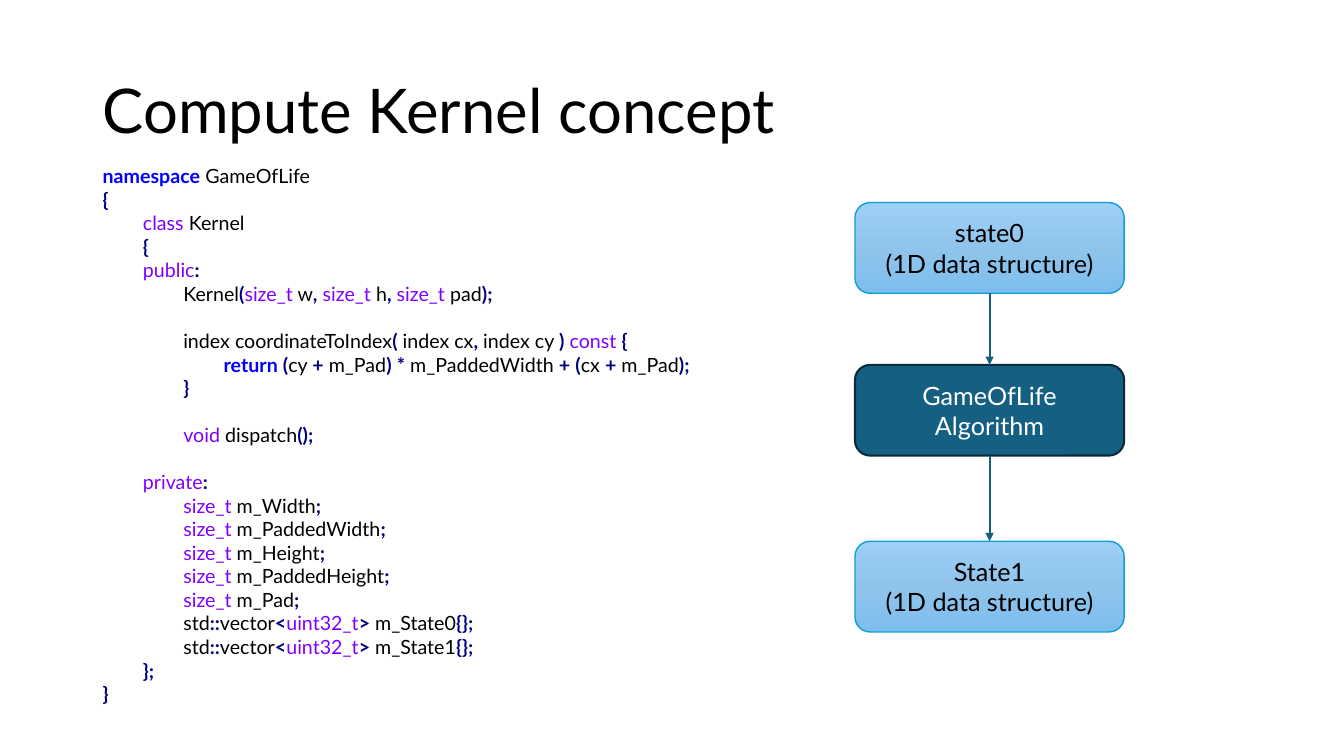
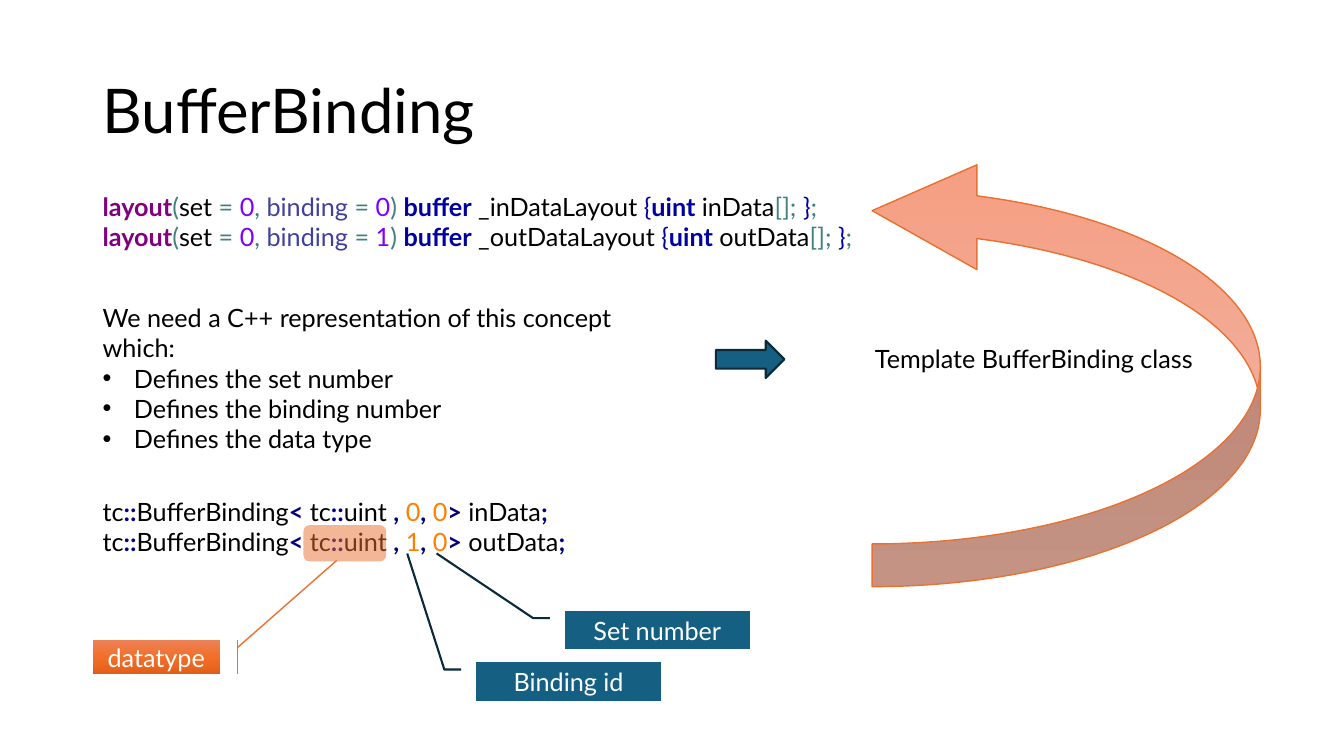
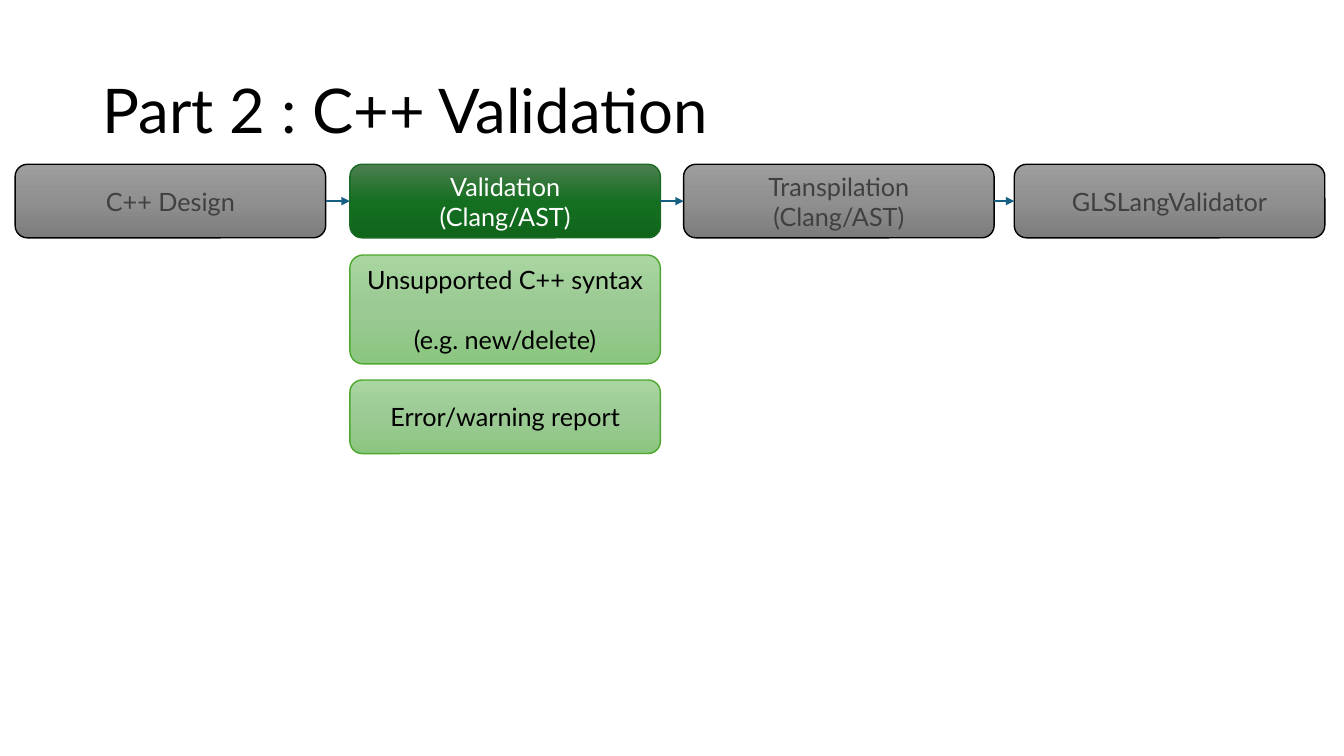
from copy import deepcopy
from dataclasses import dataclass
from itertools import groupby, pairwise

from lxml import etree
from pptx import Presentation
from pptx.dml.color import RGBColor
from pptx.enum.shapes import MSO_CONNECTOR, MSO_SHAPE
from pptx.enum.text import MSO_ANCHOR, PP_ALIGN
from pptx.oxml.ns import qn
from pptx.util import Inches, Pt

ROUNDED = MSO_SHAPE.ROUNDED_RECTANGLE
RIGHT_ARROW = MSO_SHAPE.RIGHT_ARROW
CURVED_ARROW = MSO_SHAPE.CURVED_LEFT_ARROW
ACCENT_CALLOUT = MSO_SHAPE.LINE_CALLOUT_1_ACCENT_BAR
BENT_CALLOUT = MSO_SHAPE.LINE_CALLOUT_2_NO_BORDER
STRAIGHT = MSO_CONNECTOR.STRAIGHT
MIDDLE, TOP_ANCHOR = MSO_ANCHOR.MIDDLE, MSO_ANCHOR.TOP
CENTER, LEFT_ALIGN = PP_ALIGN.CENTER, PP_ALIGN.LEFT
TOP, LEFT, BOTTOM, RIGHT = range(4)


@dataclass(frozen=True)
class Look:
    """Fill (one colour, or gradient colours from top to bottom), line and text."""
    fill: tuple
    line: str | None
    width: float = 1
    text: str = "000000"


@dataclass(frozen=True)
class Theme:
    font: str = "Lato"
    title_size: int = 44
    body_size: int = 18
    code_size: int = 14
    line_height: float = 1.2
    tab: float = 0.4
    bullet_indent: float = 0.31
    black: str = "000000"
    accent: str = "156082"
    teal: Look = Look(("156082",), "092A39", 1.5, "FFFFFF")
    blue: Look = Look(("9ECFF5", "90C4EB", "7CBEED"), "0F9ED5")
    orange: Look = Look(("ED8257", "F26E29", "E25F1A"), "E97132", 1, "FFFFFF")
    peach: Look = Look(("F5B8A5", "F2AB96", "F59E82"), "E97132")
    marker: Look = Look(("E97132",), None)
    gray: Look = Look(("9D9D9D", "909090", "7C7C7C"), "000000", 1, "404040")
    green: Look = Look(("4D7E50", "156F21", "0F661B"), "196B24", 1, "FFFFFF")
    light_green: Look = Look(("A8D5A0", "9CCA94", "8AC680"), "4EA72E")


THEME = Theme()

# Token -> (colour, bold)
PLAIN = (THEME.black, False)
CPP = {
    **dict.fromkeys("{}()[]<>,;:+*", ("000080", True)),
    **dict.fromkeys(("namespace", "return"), ("0000FF", True)),
    **dict.fromkeys(("class", "public", "private", "const", "void", "size_t", "uint32_t"),
                    ("8000FF", False)),
    **dict.fromkeys("01", ("FF8000", False)),
}
GLSL = {
    **dict.fromkeys("()[],;=", ("408080", False)),
    **dict.fromkeys("{}", ("0000A0", False)),
    **dict.fromkeys(("buffer", "uint"), ("0000A0", True)),
    **dict.fromkeys("01", ("8000FF", False)),
    "layout": ("800080", True),
    "binding": ("4040A0", False),
}

KERNEL_CODE = """\
namespace GameOfLife
{
	class Kernel
	{
	public:
		Kernel(size_t w, size_t h, size_t pad);

		index coordinateToIndex( index cx, index cy ) const {
			return (cy + m_Pad) * m_PaddedWidth + (cx + m_Pad);
		}

		void dispatch();

	private:
		size_t m_Width;
		size_t m_PaddedWidth;
		size_t m_Height;
		size_t m_PaddedHeight;
		size_t m_Pad;
		std::vector<uint32_t> m_State0{};
		std::vector<uint32_t> m_State1{};
	};
}"""
LAYOUT_CODE = """\
layout(set = 0, binding = 0) buffer _inDataLayout {uint inData[]; };
layout(set = 0, binding = 1) buffer _outDataLayout {uint outData[]; };"""
BINDING_CODE = """\
tc::BufferBinding< tc::uint , 0, 0> inData;
tc::BufferBinding< tc::uint , 1, 0> outData;"""


def styled_pieces(line, syntax):
    """Yield (style, text) for each stretch of a code line in one style."""
    tokens = []
    for is_word, chars in groupby(line, lambda c: c.isalnum() or c == "_"):
        tokens += ["".join(chars)] if is_word else chars
    for style, group in groupby(tokens, lambda t: syntax.get(t, PLAIN)):
        yield style, "".join(group)


class Deck:
    def __init__(self, theme):
        self.theme = theme
        self.prs = Presentation()
        self.prs.slide_width, self.prs.slide_height = Inches(13.33), Inches(7.5)
        self.s = None

    def slide(self, title):
        self.s = self.prs.slides.add_slide(self.prs.slide_layouts[6])
        tf = self.text_frame(0.92, 0.4, 11.5, 1.45)
        self.set_lines(tf, [title], size=self.theme.title_size, anchor=MIDDLE)
        tf.paragraphs[0].line_spacing = 0.9

    def text_frame(self, x, y, w, h):
        tf = self.s.shapes.add_textbox(Inches(x), Inches(y), Inches(w), Inches(h)).text_frame
        tf.word_wrap = True
        return tf

    def style_run(self, r, size, color, bold=False):
        r.font.name, r.font.size, r.font.bold = self.theme.font, Pt(size), bold
        r.font.color.rgb = RGBColor.from_string(color)

    def paragraphs(self, tf, lines, size):
        """Yield a paragraph for each line; an empty line becomes space before the next."""
        p, gap = None, 0
        for line in lines:
            if not line:
                gap += size * self.theme.line_height
                continue
            p = tf.add_paragraph() if p else tf.paragraphs[0]
            p.space_before, gap = Pt(gap), 0
            yield p, line

    def set_lines(self, tf, lines, size=None, color=None, align=LEFT_ALIGN, anchor=TOP_ANCHOR):
        size = size or self.theme.body_size
        tf.vertical_anchor = anchor
        for p, line in self.paragraphs(tf, lines, size):
            p.text, p.alignment = line, align
            for r in p.runs:
                self.style_run(r, size, color or self.theme.black)

    def text(self, x, y, w, h, lines, bullets_from=None):
        tf = self.text_frame(x, y, w, h)
        self.set_lines(tf, lines)
        indent = Inches(self.theme.bullet_indent)
        for p in tf.paragraphs[len(lines) if bullets_from is None else bullets_from:]:
            pPr = p._p.get_or_add_pPr()
            pPr.set("marL", str(indent))
            pPr.set("indent", str(-indent))
            etree.SubElement(pPr, qn("a:buFont")).set("typeface", "Arial")
            etree.SubElement(pPr, qn("a:buChar")).set("char", "•")

    def code(self, x, y, w, h, source, syntax, size):
        tf = self.text_frame(x, y, w, h)
        for p, line in self.paragraphs(tf, source.split("\n"), size):
            body = line.lstrip("\t")
            margin = Inches(self.theme.tab * (len(line) - len(body)))
            p._p.get_or_add_pPr().set("marL", str(margin))
            for (color, bold), piece in styled_pieces(body, syntax):
                r = p.add_run()
                r.text = piece
                self.style_run(r, size, color, bold)

    def paint(self, shape, look):
        fill = shape.fill
        if len(look.fill) == 1:
            fill.solid()
            fill.fore_color.rgb = RGBColor.from_string(look.fill[0])
        else:
            fill.gradient()
            fill.gradient_angle = 270
            stops = shape.element.spPr.find(".//" + qn("a:gsLst"))
            stops.insert(1, deepcopy(stops[0]))
            for i, (stop, color) in enumerate(zip(fill.gradient_stops, look.fill)):
                stop.color.rgb = RGBColor.from_string(color)
                stop.position = i / 2
        if look.line:
            shape.line.color.rgb = RGBColor.from_string(look.line)
            shape.line.width = Pt(look.width)
        else:
            shape.line.fill.background()

    def shape(self, kind, x, y, w, h, look, lines=(), adjust=(), alpha=None, flip=False):
        sp = self.s.shapes.add_shape(kind, Inches(x), Inches(y), Inches(w), Inches(h))
        sp.shadow.inherit = False
        for i, value in enumerate(adjust):
            sp.adjustments[i] = value
        self.paint(sp, look)
        if alpha is not None:
            color = sp.element.spPr.find(qn("a:solidFill"))[0]
            etree.SubElement(color, qn("a:alpha")).set("val", str(alpha * 1000))
        if flip:
            sp.element.spPr.find(qn("a:xfrm")).set("flipV", "1")
        self.set_lines(sp.text_frame, lines, color=look.text, align=CENTER, anchor=MIDDLE)
        return sp

    def arrow(self, start, start_side, end, end_side):
        c = self.s.shapes.add_connector(STRAIGHT, 0, 0, 0, 0)
        c.begin_connect(start, start_side)
        c.end_connect(end, end_side)
        c.line.color.rgb = RGBColor.from_string(self.theme.accent)
        c.line.width = Pt(1.5)
        spPr = c.element.spPr
        etree.SubElement(spPr.find(qn("a:ln")), qn("a:tailEnd")).set("type", "triangle")
        etree.SubElement(spPr, qn("a:effectLst"))


def kernel_slide(deck):
    t = deck.theme
    deck.slide("Compute Kernel concept")
    deck.code(0.92, 1.58, 6.56, 5.52, KERNEL_CODE, CPP, t.code_size)
    steps = [
        (2.01, t.blue, ["state0", "(1D data structure)"]),
        (3.62, t.teal, ["GameOfLife", "Algorithm"]),
        (5.37, t.blue, ["State1", "(1D data structure)"]),
    ]
    boxes = [deck.shape(ROUNDED, 8.48, y, 2.67, 0.9, look, lines) for y, look, lines in steps]
    for upper, lower in pairwise(boxes):
        deck.arrow(upper, BOTTOM, lower, TOP)


def binding_slide(deck):
    t = deck.theme
    deck.slide("BufferBinding")
    deck.code(0.92, 1.85, 7.78, 0.71, LAYOUT_CODE, GLSL, t.body_size)
    deck.text(0.92, 2.95, 5.93, 1.31, [
        "We need a C++ representation of this concept which:",
        "Defines the set number",
        "Defines the binding number",
        "Defines the data type",
    ], bullets_from=1)
    deck.shape(RIGHT_ARROW, 7.1, 3.38, 0.68, 0.37, t.teal)
    deck.text(8.58, 3.36, 3.36, 0.4, ["Template BufferBinding class"])
    deck.code(0.92, 4.87, 6.67, 0.71, BINDING_CODE, CPP, t.body_size)
    deck.shape(ROUNDED, 3.01, 5.21, 0.82, 0.36, t.marker, alpha=50)
    deck.shape(ACCENT_CALLOUT, 0.92, 6.35, 1.26, 0.34, t.orange, ["datatype"],
               adjust=(0.22, 1.14, -2.32, 1.92))
    for x, y, label, tip in [(4.72, 6.57, "Binding id", (-2.84, -0.37)),
                             (5.6, 6.06, "Set number", (-1.5, -0.69))]:
        deck.shape(BENT_CALLOUT, x, y, 1.84, 0.38, t.teal, [label],
                   adjust=(0.19, -0.08, 0.19, -0.17, *tip))
    deck.shape(CURVED_ARROW, 8.65, 1.57, 3.85, 4.25, t.peach,
               adjust=(0.11, 0.27, 0.27), flip=True)


def validation_slide(deck):
    t = deck.theme
    deck.slide("Part 2 : C++ Validation")
    box_w, box_h, validation_x = 3.08, 0.73, 3.47
    stages = [
        (0.15, t.gray, ["C++ Design"]),
        (validation_x, t.green, ["Validation", "(Clang/AST)"]),
        (6.78, t.gray, ["Transpilation", "(Clang/AST)"]),
        (10.06, t.gray, ["GLSLangValidator"]),
    ]
    boxes = [deck.shape(ROUNDED, x, 1.63, box_w, box_h, look, lines) for x, look, lines in stages]
    for before, after in pairwise(boxes):
        deck.arrow(before, RIGHT, after, LEFT)
    deck.shape(ROUNDED, validation_x, 2.53, box_w, 1.08, t.light_green,
               ["Unsupported C++ syntax", "", "(e.g. new/delete)"], adjust=(0.12,))
    deck.shape(ROUNDED, validation_x, 3.77, box_w, box_h, t.light_green,
               ["Error/warning report"])


def main():
    deck = Deck(THEME)
    kernel_slide(deck)
    binding_slide(deck)
    validation_slide(deck)
    deck.prs.save("out.pptx")


if __name__ == "__main__":
    main()
